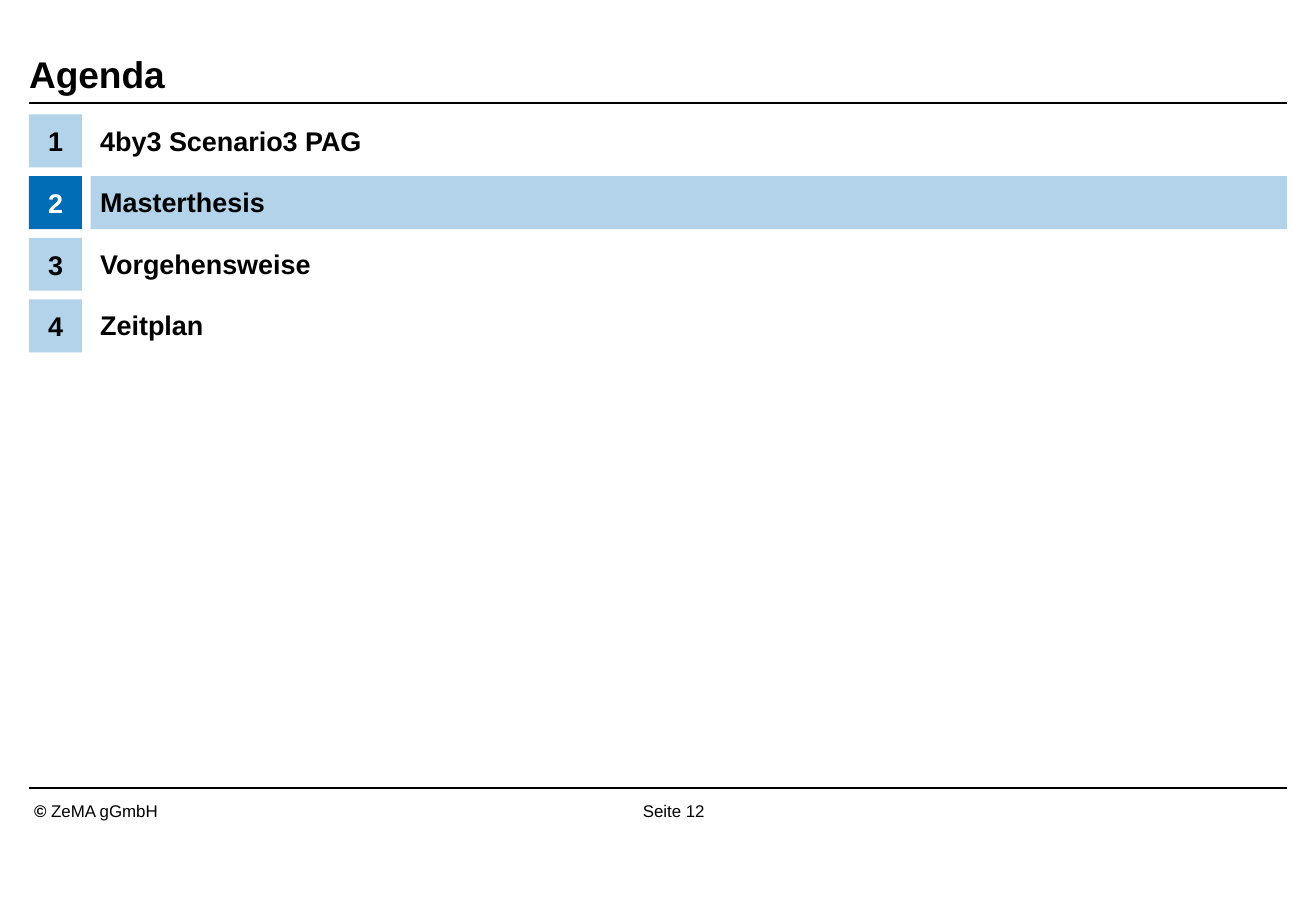
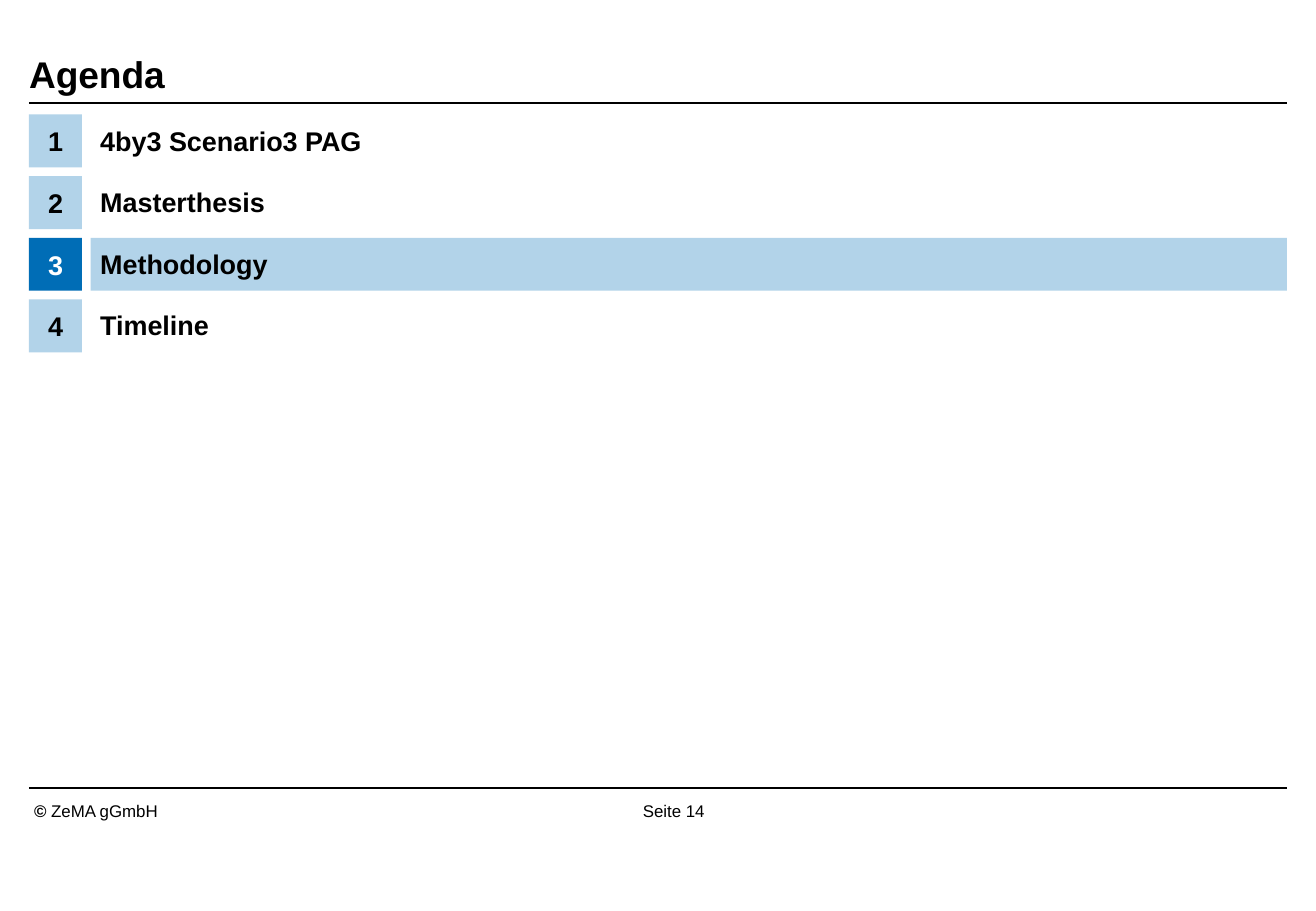
from pptx import Presentation
from pptx.dml.color import RGBColor
from pptx.enum.shapes import MSO_CONNECTOR, MSO_SHAPE
from pptx.enum.text import MSO_ANCHOR, MSO_AUTO_SIZE, PP_ALIGN
from pptx.oxml.ns import qn
from pptx.util import Pt
from lxml import etree

STRAIGHT = MSO_CONNECTOR.STRAIGHT
RECTANGLE = MSO_SHAPE.RECTANGLE
TOP, MIDDLE, BOTTOM = MSO_ANCHOR.TOP, MSO_ANCHOR.MIDDLE, MSO_ANCHOR.BOTTOM
LEFT, CENTER, RIGHT = PP_ALIGN.LEFT, PP_ALIGN.CENTER, PP_ALIGN.RIGHT
NO_FIT = MSO_AUTO_SIZE.NONE

BLACK = RGBColor(0x00, 0x00, 0x00)
WHITE = RGBColor(0xFF, 0xFF, 0xFF)
DARK_BLUE = RGBColor(0x00, 0x6D, 0xB6)
LIGHT_BLUE = RGBColor(0xB2, 0xD3, 0xE9)

FONT = "Arial"
PAGE_WIDTH, PAGE_HEIGHT = 780, 540
MARGIN = 17.2
CONTENT_WIDTH = PAGE_WIDTH - 2 * MARGIN
TITLE_RULE, FOOTER_RULE = 61, 467
TITLE_BOX = (MARGIN, 0, CONTENT_WIDTH, 57)
AGENDA_BOX = (MARGIN, 67.9, CONTENT_WIDTH, 141)
FOOTER_BOX = (MARGIN, 471.6, CONTENT_WIDTH, 25)
ROW_HEIGHT = 31.4
LABEL_WIDTH = 163

TITLE_TEXT = {"size": Pt(22), "bold": True}
ROW_TEXT = {"size": Pt(16), "bold": True}
FOOTER_TEXT = {"size": Pt(10), "bold": False}

AGENDAS = [
    (12, 2, ["4by3 Scenario3 PAG", "Masterthesis", "Vorgehensweise", "Zeitplan"]),
    (14, 3, ["4by3 Scenario3 PAG", "Masterthesis", "Methodology", "Timeline"]),
]


def points(*lengths):
    """Turn numbers into point lengths."""
    return [Pt(length) for length in lengths]


def write(shape, spans, insets, anchor=TOP, align=LEFT, color=BLACK):
    """Fill a shape with one paragraph of (text, font values) spans."""
    frame = shape.text_frame
    left, top, right, bottom = points(*insets)
    layout = {"margin_left": left, "margin_top": top, "margin_right": right,
              "margin_bottom": bottom, "vertical_anchor": anchor,
              "auto_size": NO_FIT, "word_wrap": True}
    for name, value in layout.items():
        setattr(frame, name, value)
    para = frame.paragraphs[0]
    para.alignment = align
    for text, style in spans:
        span = para.add_run()
        span.text = text
        span.font.color.rgb = color
        for name, value in {"name": FONT, **style}.items():
            setattr(span.font, name, value)


def add_rule(page, y):
    """Draw a thin rule across the content width."""
    rule = page.shapes.add_connector(
        STRAIGHT, *points(MARGIN, y, MARGIN + CONTENT_WIDTH, y))
    rule.line.color.rgb = BLACK
    rule.line.width = Pt(0.85)
    etree.SubElement(rule.element.spPr, qn("a:effectLst"))


def add_block(page, box, color):
    """Draw a plain filled rectangle."""
    block = page.shapes.add_shape(RECTANGLE, *points(*box))
    block.shadow.inherit = False
    block.fill.solid()
    block.fill.fore_color.rgb = color
    block.line.fill.background()
    return block


def add_title(page, box, text):
    """Place and format the title placeholder above its rule."""
    title = page.shapes.title
    title.left, title.top, title.width, title.height = points(*box)
    write(title, [(text, TITLE_TEXT)], (0, 0, 22, 0), BOTTOM)
    add_rule(page, TITLE_RULE)


def add_footer(page, box, number):
    """Place the copyright line and the page number below the footer rule."""
    left, top, width, height = box
    insets = (3, 3, 3, 0)
    add_rule(page, FOOTER_RULE)
    notice = page.shapes.add_textbox(*points(left, top, 114.5, height))
    write(notice, [("© ", {**FOOTER_TEXT, "bold": True}),
                   ("ZeMA gGmbH", FOOTER_TEXT)], insets)
    counter = page.shapes.add_textbox(*points(left + 299, top, 104.4, height))
    write(counter, [(f"Seite {number}", FOOTER_TEXT)], insets, align=RIGHT)


def add_agenda(page, box, topics, current):
    """Spread numbered topics over the box and highlight the current one."""
    left, top, width, height = box
    pitch = (height - ROW_HEIGHT) / (len(topics) - 1)
    indent = pitch
    for number, topic in enumerate(topics, 1):
        y = top + (number - 1) * pitch
        active = number == current
        if active:
            add_block(page, (left + indent, y, width - indent, ROW_HEIGHT), LIGHT_BLUE)
        label = page.shapes.add_textbox(
            *points(left + indent, y, LABEL_WIDTH, ROW_HEIGHT))
        write(label, [(topic, ROW_TEXT)], (5.7, 5.7, 0, 5.7))
        badge = add_block(page, (left, y, ROW_HEIGHT, ROW_HEIGHT),
                          DARK_BLUE if active else LIGHT_BLUE)
        write(badge, [(str(number), ROW_TEXT)], [5.7] * 4, MIDDLE, CENTER,
              WHITE if active else BLACK)


def add_agenda_page(deck, number, current, topics):
    """Build one agenda slide."""
    page = deck.slides.add_slide(deck.slide_layouts[5])
    add_title(page, TITLE_BOX, "Agenda")
    add_agenda(page, AGENDA_BOX, topics, current)
    add_footer(page, FOOTER_BOX, number)


def main():
    """Build and save the deck."""
    deck = Presentation()
    deck.slide_width, deck.slide_height = points(PAGE_WIDTH, PAGE_HEIGHT)
    for number, current, topics in AGENDAS:
        add_agenda_page(deck, number, current, topics)
    deck.save("out.pptx")


if __name__ == "__main__":
    main()
